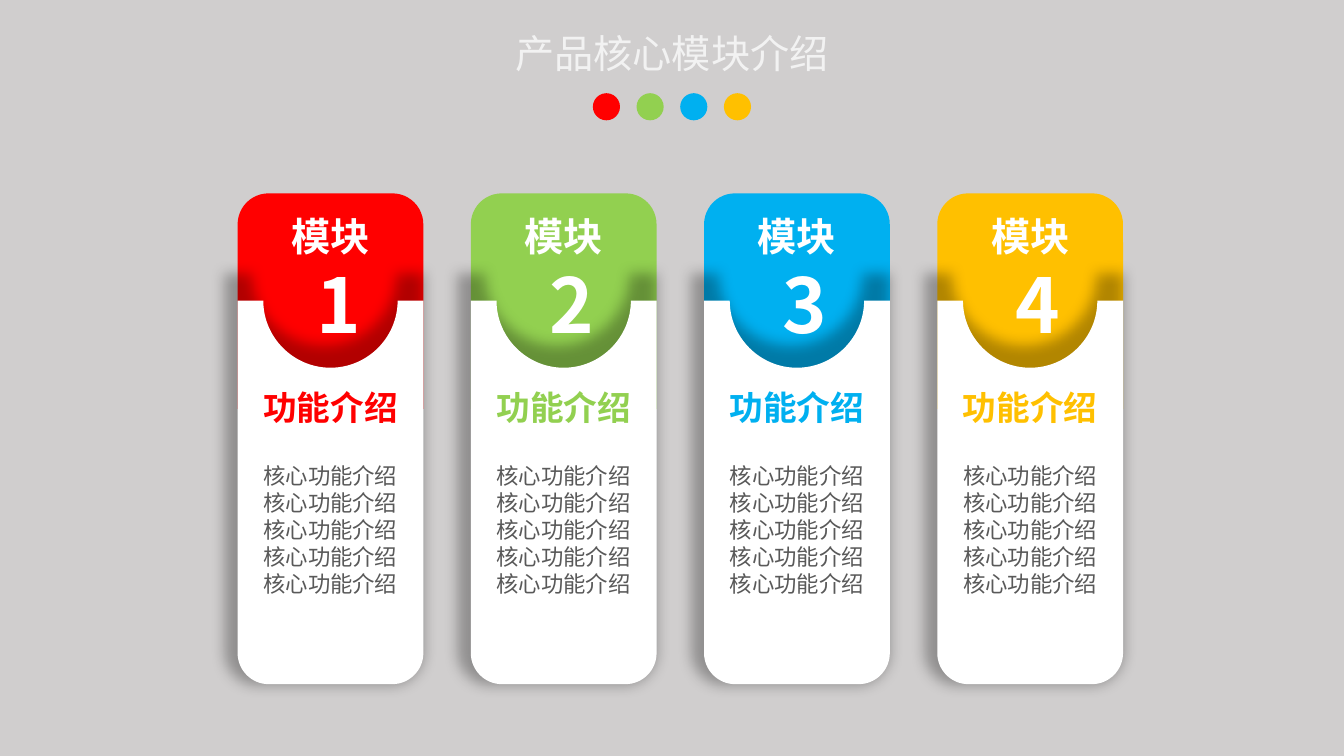
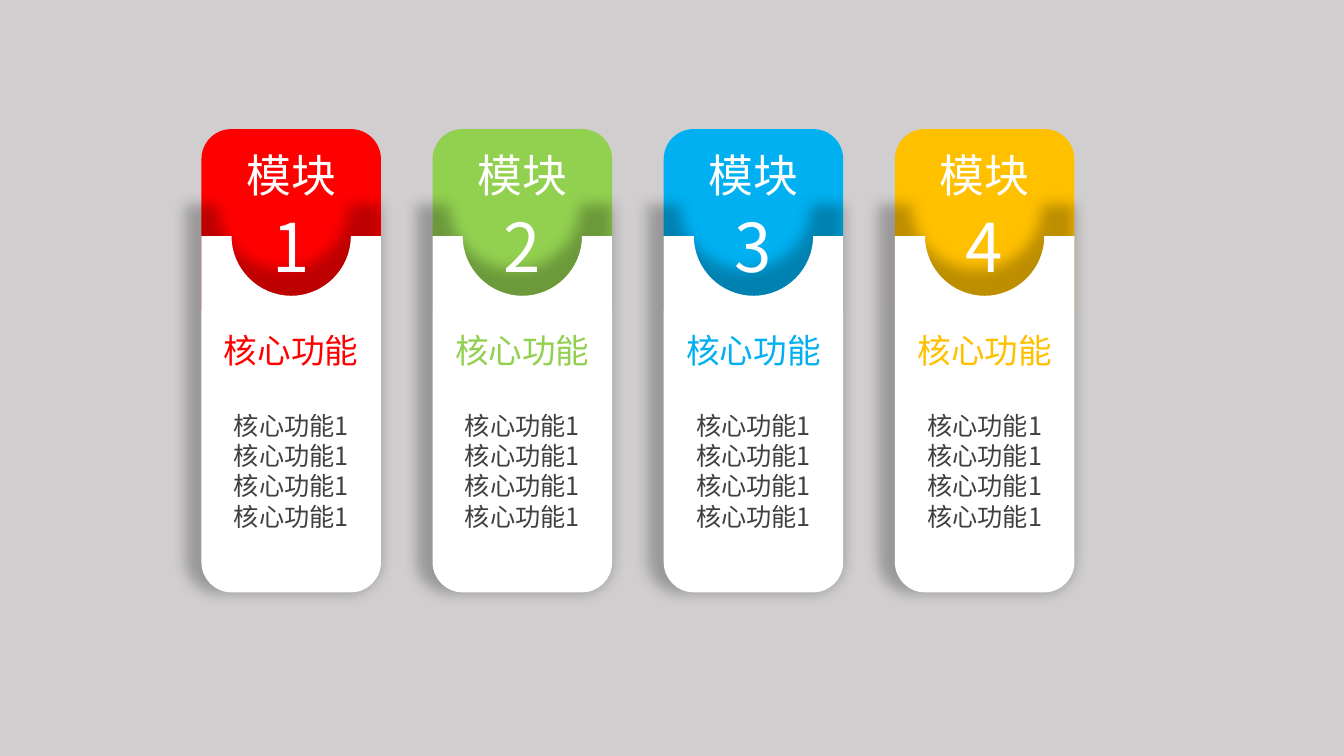
"""Build two slides of product module cards."""
from lxml import etree
from pptx import Presentation
from pptx.dml.color import RGBColor
from pptx.enum import shapes, text
from pptx.oxml.ns import qn
from pptx.util import Pt

FONT = "Noto Sans CJK SC"
BACKGROUND, WHITE, TITLE_COLOUR = "D0CECE", "FFFFFF", "F2F2F2"
ACCENTS = ["FF0000", "92D050", "00B0F0", "FFC000"]
PAGE_WIDTH, PAGE_HEIGHT = 960, 540
LINE_HEIGHT = 1.2
ARC_HANDLE = 0.55

SLIDES = [
    {
        "title": "产品核心模块介绍",
        "left": 169.7, "pitch": 166.6, "width": 132.7,
        "cap": (138.1, 154), "card": (214.7, 488.7), "notch": 48,
        "shadow": {"alpha": 30, "scale": 107},
        "bold": True, "body_colour": "595959",
        "label": ("模块", 148.3, 132.5, 41, 28),
        "number": (180.7, 34.6, 72.7, 54),
        "heading": ("功能介绍", 272.9, 132.5, 36, 24),
        "body": (["核心功能介绍"] * 5, 326.9, 132.5, 123.8, 16),
    },
    {
        "title": None,
        "left": 143.9, "pitch": 165.1, "width": 128.2,
        "cap": (92.2, 129), "card": (168.7, 423.1), "notch": 42.6,
        "shadow": {"alpha": 26, "scale": 109},
        "bold": False, "body_colour": "404040",
        "label": ("模块", 102.2, 111.6, 46, 32),
        "number": (143.3, 50.4, 65.5, 48),
        "heading": ("核心功能", 231.8, 128.2, 36, 24),
        "body": (["核心功能1"] * 4, 289.4, 128.2, 94.3, 18),
    },
]


def rgb(colour):
    """Turn a hex string into a colour."""
    return RGBColor.from_string(colour)


def paint(shape, colour):
    """Give a shape a plain fill without line or shadow."""
    shape.fill.solid()
    shape.fill.fore_color.rgb = rgb(colour)
    shape.line.fill.background()
    shape.shadow.inherit = False


def add_shape(shape_list, kind, left, top, width, height, colour):
    """Add a plain preset shape."""
    shape = shape_list.add_shape(kind, Pt(left), Pt(top), Pt(width), Pt(height))
    paint(shape, colour)


def add_text(page, lines, centre, top, width, height, size, colour, bold=False):
    """Add centred lines of text around a vertical axis."""
    box = page.shapes.add_textbox(
        Pt(centre - width / 2), Pt(top), Pt(width), Pt(height))
    frame = box.text_frame
    frame.word_wrap = True
    for index, line in enumerate(lines):
        para = frame.add_paragraph() if index else frame.paragraphs[0]
        para.alignment = text.PP_ALIGN.CENTER
        para.line_spacing = Pt(size * LINE_HEIGHT)
        span = para.add_run()
        span.text = line
        font = span.font
        font.size, font.bold, font.name = Pt(size), bold, FONT
        font.color.rgb = rgb(colour)
        etree.SubElement(font._element, qn("a:ea"), typeface=FONT)


def add_shadow(shape, alpha, scale):
    """Add a soft, enlarged black shadow held at the bottom right."""
    effects = shape._element.spPr.find(qn("a:effectLst"))
    size = str(scale * 1000)
    shadow = etree.SubElement(
        effects, qn("a:outerShdw"), blurRad=str(Pt(10)),
        sx=size, sy=size, algn="br", rotWithShape="0")
    black = etree.SubElement(shadow, qn("a:srgbClr"), val="000000")
    etree.SubElement(black, qn("a:alpha"), val=str(alpha * 1000))


def add_card(page, left, width, top, bottom, notch, shadow):
    """Draw the white card with a round notch and rounded bottom corners."""
    right, corner, centre = left + width, width / 6, left + width / 2
    outline = [
        ((left, top), None),
        ((centre - notch, top), None),
        ((centre, top + notch), (centre - notch, top + notch)),
        ((centre + notch, top), (centre + notch, top + notch)),
        ((right, top), None),
        ((right, bottom - corner), None),
        ((right - corner, bottom), (right, bottom)),
        ((left + corner, bottom), None),
        ((left, bottom - corner), (left, bottom)),
    ]
    points = [(Pt(x), Pt(y)) for (x, y), _ in outline]
    builder = page.shapes.build_freeform(*points[0])
    builder.add_line_segments(points[1:], close=True)
    card = builder.convert_to_shape()
    segments = list(card._element.iter(qn("a:lnTo")))
    for segment, (start, _), (end, bend) in zip(segments, outline, outline[1:]):
        if bend:
            bend_segment(segment, start, end, bend, (left, top))
    paint(card, WHITE)
    add_shadow(card, **shadow)


def bend_segment(segment, start, end, bend, origin):
    """Turn a straight segment into a quarter arc towards a corner point."""
    segment.tag = qn("a:cubicBezTo")
    for index, anchor in enumerate((start, end)):
        x, y = (Pt(a + ARC_HANDLE * (b - a) - o)
                for a, b, o in zip(anchor, bend, origin))
        handle = etree.Element(qn("a:pt"), x=str(x), y=str(y))
        segment.insert(index, handle)


def add_module(page, layout, index, accent):
    """Add one module column."""
    left = layout["left"] + index * layout["pitch"]
    width, bold = layout["width"], layout["bold"]
    centre = left + width / 2
    cap_top, cap_height = layout["cap"]
    add_shape(page.shapes, shapes.MSO_SHAPE.ROUND_2_SAME_RECTANGLE,
              left, cap_top, width, cap_height, accent)
    add_card(page, left, width, *layout["card"], layout["notch"], layout["shadow"])
    label, *label_place = layout["label"]
    heading, *heading_place = layout["heading"]
    body, *body_place = layout["body"]
    add_text(page, [label], centre, *label_place, WHITE, bold)
    add_text(page, [str(index + 1)], centre, *layout["number"], WHITE, bold)
    add_text(page, [heading], centre, *heading_place, accent, bold)
    add_text(page, body, centre, *body_place, layout["body_colour"])


def add_title(page, title):
    """Add the title and its row of coloured dots."""
    add_text(page, [title], PAGE_WIDTH / 2, 17.4, 400, 41, 28, TITLE_COLOUR)
    dots = page.shapes.add_group_shape().shapes
    for index, accent in enumerate(ACCENTS):
        add_shape(dots, shapes.MSO_SHAPE.OVAL,
                  423.5 + index * 31.2, 66.6, 19.4, 19.4, accent)


def main():
    """Build and save the deck."""
    deck = Presentation()
    deck.slide_width, deck.slide_height = Pt(PAGE_WIDTH), Pt(PAGE_HEIGHT)
    backdrop = deck.slide_master.background.fill
    backdrop.solid()
    backdrop.fore_color.rgb = rgb(BACKGROUND)
    for layout in SLIDES:
        page = deck.slides.add_slide(deck.slide_layouts[6])
        for index, accent in enumerate(ACCENTS):
            add_module(page, layout, index, accent)
        if layout["title"]:
            add_title(page, layout["title"])
    deck.save("out.pptx")


if __name__ == "__main__":
    main()
